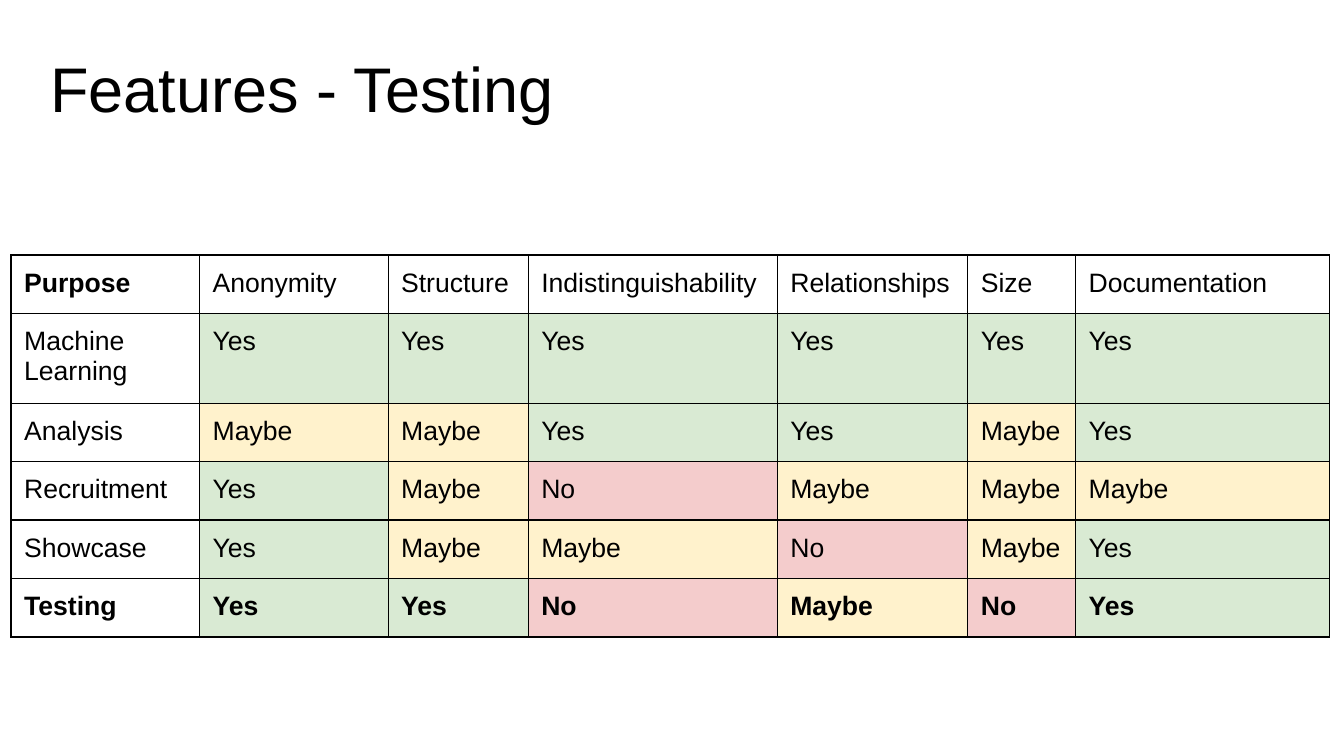
from lxml import etree
from pptx import Presentation
from pptx.dml.color import RGBColor
from pptx.enum import text
from pptx.oxml import ns
from pptx.util import Inches, Pt

# Content
TITLE = "Features - Testing"
HEADER = ["Purpose", "Anonymity", "Structure", "Indistinguishability",
          "Relationships", "Size", "Documentation"]
PURPOSES = [
    ["Machine Learning", "Yes", "Yes", "Yes", "Yes", "Yes", "Yes"],
    ["Analysis", "Maybe", "Maybe", "Yes", "Yes", "Maybe", "Yes"],
    ["Recruitment", "Yes", "Maybe", "No", "Maybe", "Maybe", "Maybe"],
    ["Showcase", "Yes", "Maybe", "Maybe", "No", "Maybe", "Yes"],
    ["Testing", "Yes", "Yes", "No", "Maybe", "No", "Yes"],
]
BOLD_ROW = "Testing"

# Style
BLACK = RGBColor(0x00, 0x00, 0x00)
ANSWER_FILLS = {
    "Yes": RGBColor(0xD9, 0xEA, 0xD3),
    "Maybe": RGBColor(0xFF, 0xF2, 0xCC),
    "No": RGBColor(0xF4, 0xCC, 0xCC),
}
FONT = "Arial"
INSET = Inches(0.13)
COLUMN_WIDTHS = [1.87, 1.87, 1.39, 2.47, 1.89, 1.07, 2.52]
ROW_HEIGHTS = [0.58, 0.89] + [0.58] * 4


def set_insets(box):
    box.margin_left = box.margin_right = INSET
    box.margin_top = box.margin_bottom = INSET


def add_words(paragraph, words, size, bold=False):
    run = paragraph.add_run()
    run.text = words
    run.font.name = FONT
    run.font.size = Pt(size)
    run.font.bold = bold
    run.font.color.rgb = BLACK


def add_borders(cell):
    properties = cell._tc.get_or_add_tcPr()
    for place, side in enumerate(("a:lnL", "a:lnR", "a:lnT", "a:lnB")):
        line = etree.Element(ns.qn(side), w=str(Pt(1)))
        fill = etree.SubElement(line, ns.qn("a:solidFill"))
        etree.SubElement(fill, ns.qn("a:srgbClr"), val=str(BLACK))
        properties.insert(place, line)


prs = Presentation()
prs.slide_width, prs.slide_height = Inches(13.33), Inches(7.5)
slide = prs.slides.add_slide(prs.slide_layouts[5])

# Title
title = slide.shapes.title
title.left, title.top = Inches(0.37), Inches(0.29)
title.width, title.height = Inches(12), Inches(1.25)
frame = title.text_frame
set_insets(frame)
frame.auto_size = text.MSO_AUTO_SIZE.NONE
frame.vertical_anchor = text.MSO_ANCHOR.TOP
frame.margin_top = Inches(0.2)
frame.paragraphs[0].alignment = text.PP_ALIGN.LEFT
add_words(frame.paragraphs[0], TITLE, 45)

# Feature table
rows = [HEADER] + PURPOSES
features = slide.shapes.add_table(
    len(rows), len(HEADER), Inches(0.11), Inches(2.53),
    Inches(sum(COLUMN_WIDTHS)), Inches(sum(ROW_HEIGHTS))).table
features.first_row = features.horz_banding = False
for column, width in zip(features.columns, COLUMN_WIDTHS):
    column.width = Inches(width)
for row, height in zip(features.rows, ROW_HEIGHTS):
    row.height = Inches(height)

for r, answers in enumerate(rows):
    for c, answer in enumerate(answers):
        cell = features.cell(r, c)
        set_insets(cell)
        if answer in ANSWER_FILLS:
            cell.fill.solid()
            cell.fill.fore_color.rgb = ANSWER_FILLS[answer]
        else:
            cell.fill.background()
        add_borders(cell)
        bold = answers[0] == BOLD_ROW or answer == HEADER[0]
        add_words(cell.text_frame.paragraphs[0], answer, 19, bold)

prs.save("out.pptx")
